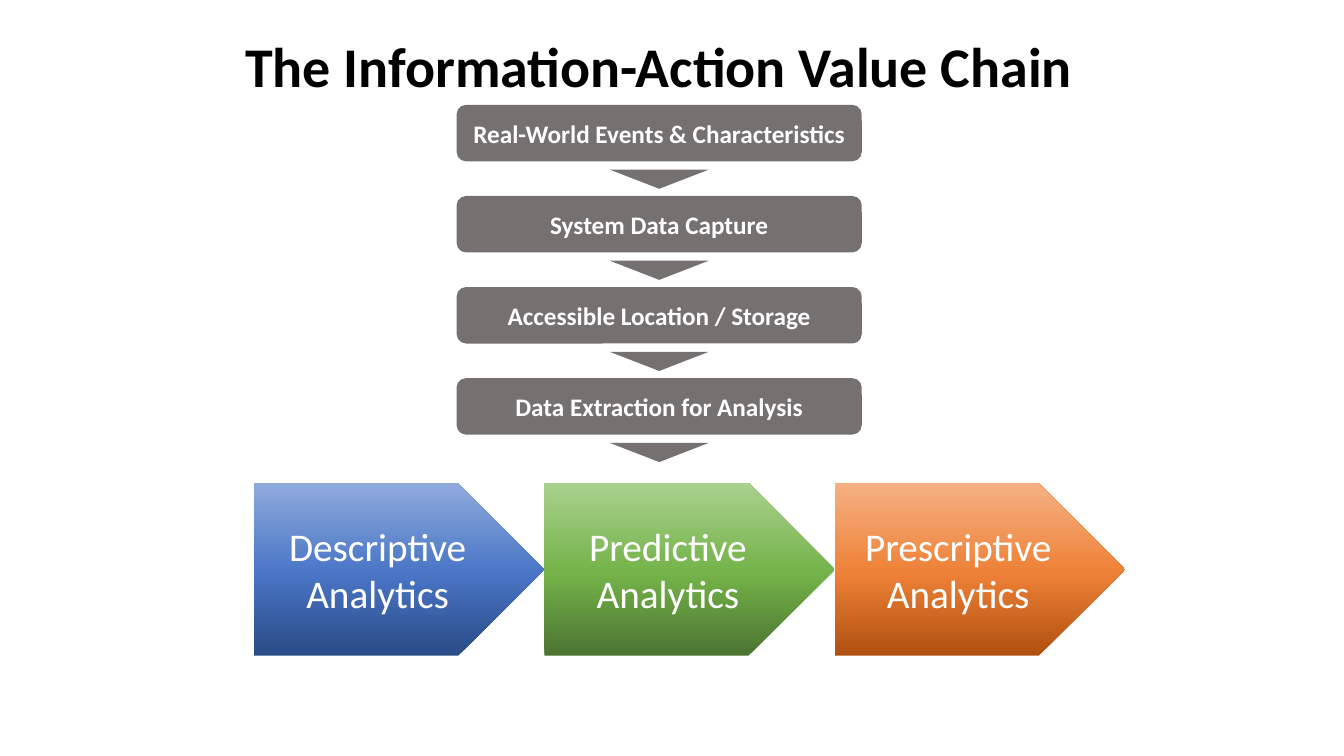
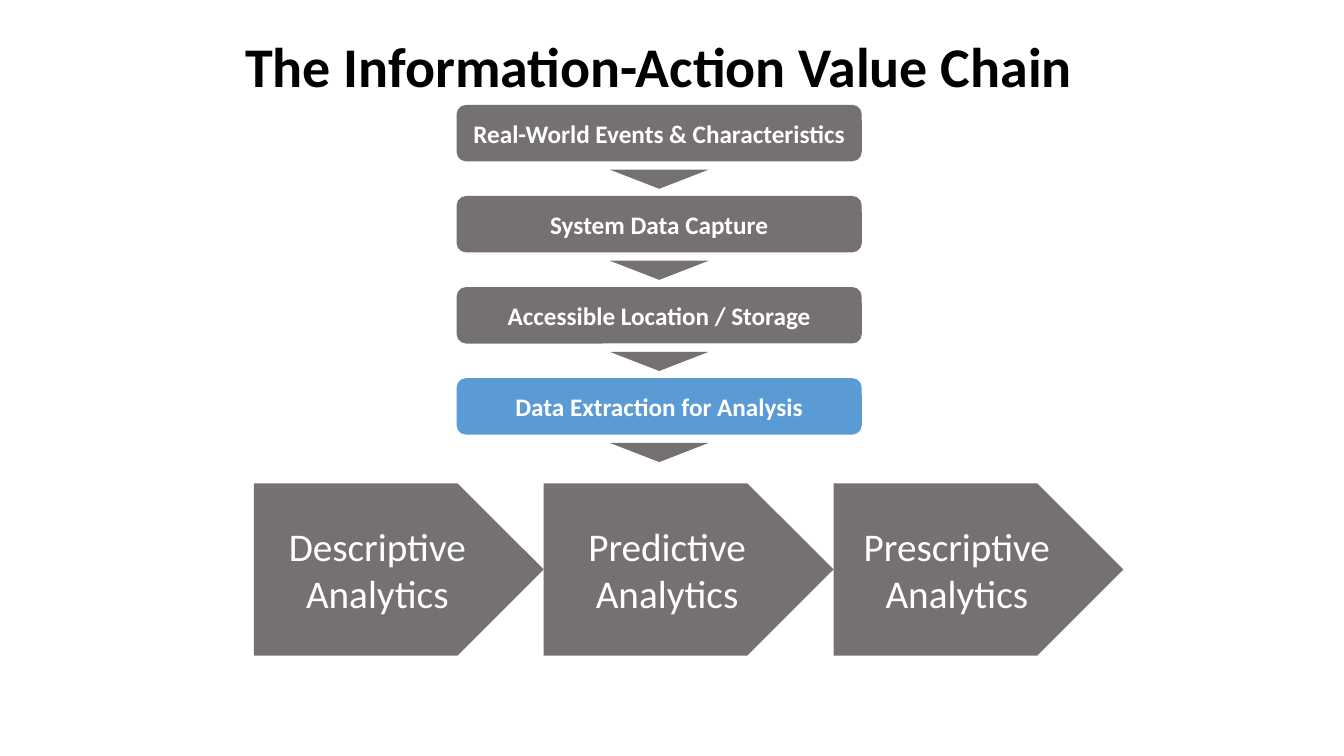
import copy

import pptx
import pptx.dml.color
import pptx.enum.shapes
import pptx.enum.text
import pptx.oxml.ns
import pptx.util

SHAPE = pptx.enum.shapes.MSO_SHAPE
ANCHOR = pptx.enum.text.MSO_ANCHOR

# Palette
GREY, SKY, WHITE, BLACK = "767171", "5B9BD5", "FFFFFF", "000000"
BLUES = ("2A4B86", "4A76C6", "8FAADC")
GREENS = ("4B7430", "74B349", "A9D18E")
ORANGES = ("B0500F", "EE8137", "F4B183")

# Wording
TITLE = "The Information-Action Value Chain"
STEPS = ("Real-World Events & Characteristics", "System Data Capture",
         "Accessible Location / Storage", "Data Extraction for Analysis")
KINDS = ("Descriptive Analytics", "Predictive Analytics",
         "Prescriptive Analytics")


def color(code):
    return pptx.dml.color.RGBColor.from_string(code)


class Deck:
    """Style and current slide; lengths are percent of the slide's size."""
    font = "Calibri"
    middle = 49.05

    def __init__(self):
        self.prs = pptx.Presentation()
        self.prs.slide_width = pptx.util.Inches(13.33)
        self.prs.slide_height = pptx.util.Inches(7.5)
        self.slide = None

    def place(self, left, top, width, height):
        wide, high = self.prs.slide_width, self.prs.slide_height
        return [int(part * full / 100) for part, full in
                zip((left, top, width, height), (wide, high, wide, high))]

    def label(self, shape, text, size, ink, bold, anchor):
        frame = shape.text_frame
        frame.word_wrap = True
        frame.auto_size = pptx.enum.text.MSO_AUTO_SIZE.NONE
        frame.vertical_anchor = anchor
        frame.margin_left = frame.margin_right = pptx.util.Inches(0.1)
        frame.margin_top = frame.margin_bottom = pptx.util.Inches(0.05)
        para = frame.paragraphs[0]
        para.alignment = pptx.enum.text.PP_ALIGN.CENTER
        para.line_spacing = 1.0
        run = para.add_run()
        run.text = text
        run.font.name = self.font
        run.font.size = pptx.util.Pt(size)
        run.font.bold = bold
        run.font.color.rgb = color(ink)

    def page(self, text):
        self.slide = self.prs.slides.add_slide(self.prs.slide_layouts[5])
        title = self.slide.shapes.title
        title.left, title.top, title.width, title.height = self.place(
            13.2, 3.47, 71.62, 10.27)
        self.label(title, text, 40, BLACK, True, ANCHOR.TOP)

    def shape(self, kind, area, paint):
        shape = self.slide.shapes.add_shape(kind, *self.place(*area))
        shape.shadow.inherit = False
        shape.line.fill.background()
        if isinstance(paint, str):
            shape.fill.solid()
            shape.fill.fore_color.rgb = color(paint)
        else:
            self.blend(shape, paint)
        return shape

    def blend(self, shape, tones):
        """Fill from the bottom up with three tones."""
        shape.fill.gradient()
        shape.fill.gradient_angle = 90
        stops = shape._element.spPr.find(".//" + pptx.oxml.ns.qn("a:gsLst"))
        while len(stops) < len(tones):
            stops.append(copy.deepcopy(stops[0]))
        for stop, tone, spot in zip(shape.fill.gradient_stops, tones,
                                    (0, 0.48, 1)):
            stop.color.rgb = color(tone)
            stop.position = spot

    def step(self, text, top, paint):
        """A box with the arrow below it."""
        width, tip = 30.15, 7.35
        box = self.shape(SHAPE.ROUNDED_RECTANGLE,
                         (self.middle - width / 2, top, width, 7.47), paint)
        self.label(box, text, 18, WHITE, True, ANCHOR.MIDDLE)
        arrow = self.shape(SHAPE.ISOSCELES_TRIANGLE,
                           (self.middle - tip / 2, top + 8.57, tip, 2.53),
                           GREY)
        arrow.rotation = 180

    def plate(self, text, left, width, paint):
        plate = self.shape(SHAPE.PENTAGON, (left, 63.93, width, 22.8), paint)
        self.label(plate, text, 28, WHITE, False, ANCHOR.MIDDLE)

    def chain(self, boxes, plates, width):
        """The whole value chain, given the paint of each part."""
        self.page(TITLE)
        for row, (text, paint) in enumerate(zip(STEPS, boxes)):
            self.step(text, 13.87 + row * 12.05, paint)
        for col, (text, paint) in enumerate(zip(KINDS, plates)):
            self.plate(text, 18.9 + col * width, width, paint)


def main():
    deck = Deck()
    # All three kinds of analytics stand out
    deck.chain([GREY] * 4, [BLUES, GREENS, ORANGES], 21.6)
    # Data extraction stands out
    deck.chain([GREY] * 3 + [SKY], [GREY] * 3, 21.56)
    deck.prs.save("out.pptx")


if __name__ == "__main__":
    main()
